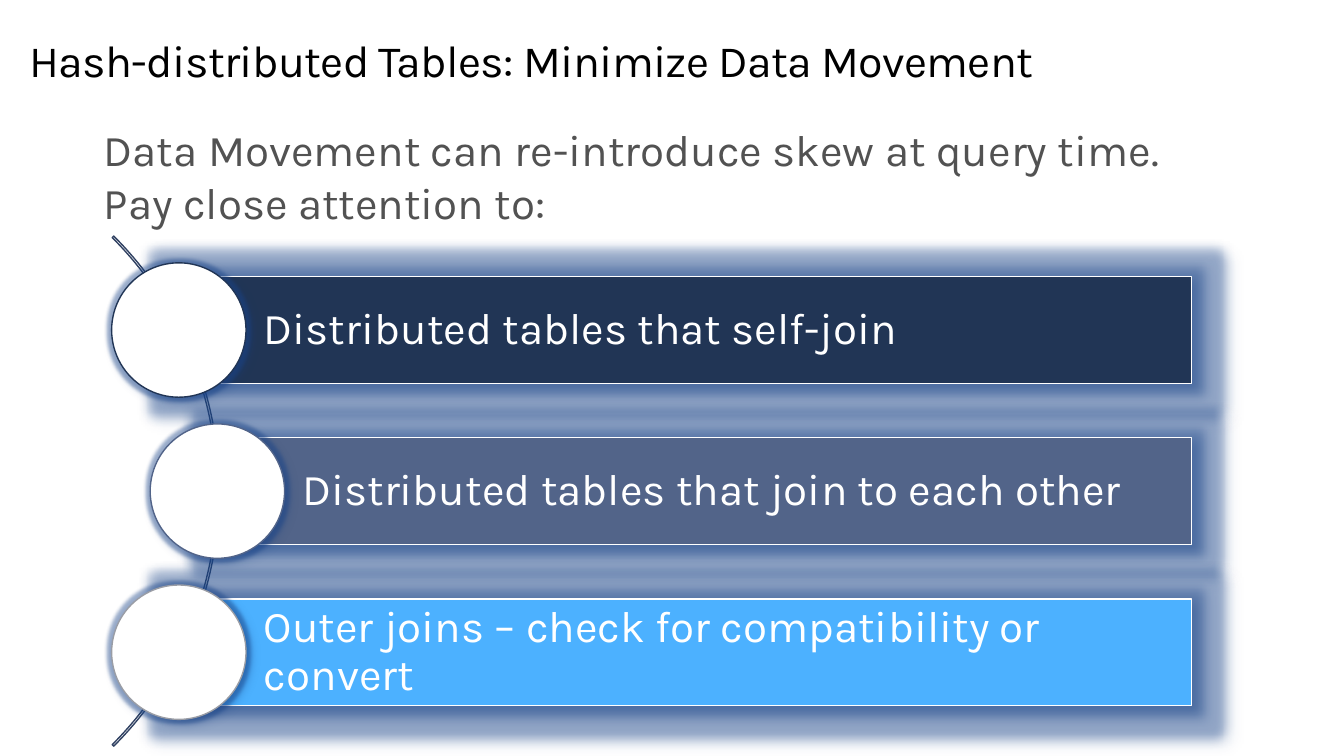
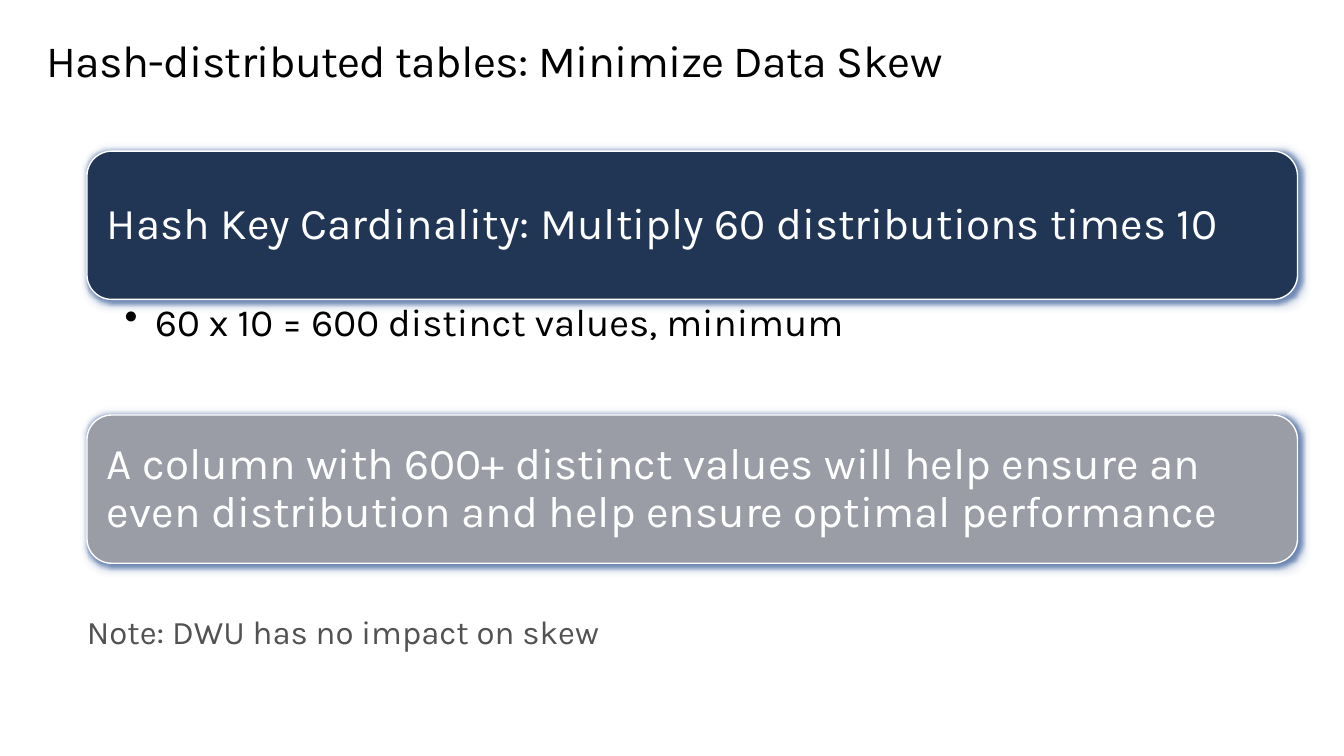
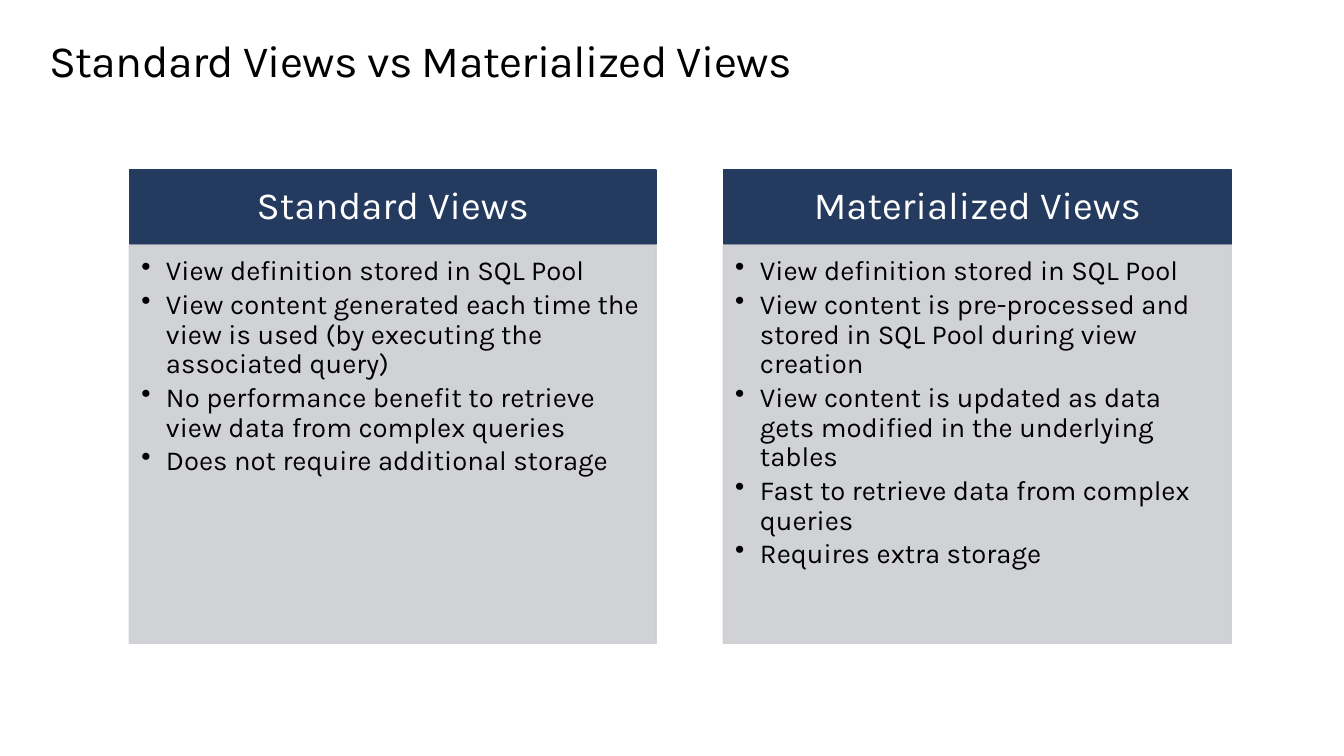
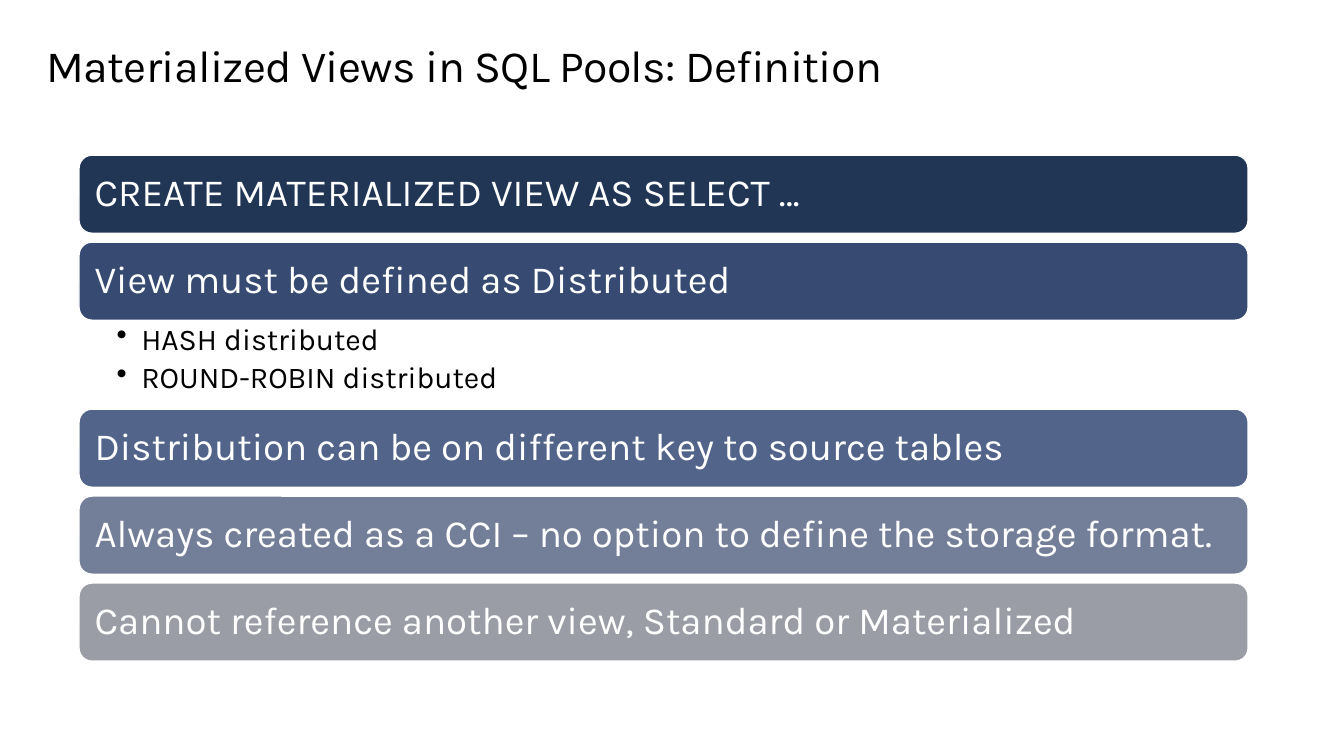
import pptx
import pptx.util
import pptx.dml.color
import pptx.enum.shapes
import pptx.enum.text
import pptx.oxml.ns
from dataclasses import dataclass
from lxml import etree

PX = 9144
SHAPE = pptx.enum.shapes.MSO_SHAPE
ALIGN = pptx.enum.text.PP_ALIGN
ANCHOR = pptx.enum.text.MSO_ANCHOR


@dataclass(frozen=True)
class Theme:
    font: str = "Karla"
    black: str = "000000"
    white: str = "FFFFFF"
    gray_text: str = "525252"
    navy: str = "213555"
    indigo: str = "374B72"
    slate: str = "526489"
    mist: str = "737F99"
    gray: str = "9A9DA5"
    sky: str = "4CB1FF"
    header: str = "243A5E"
    panel: str = "CDCED2"
    arc: str = "304162"
    glow: str = "1A4488"
    title_pt: float = 32.6
    title_line_pt: float = 36.9
    large_pt: int = 32
    medium_pt: int = 28
    note_pt: int = 24
    sub_pt: int = 22
    list_pt: int = 20


T = Theme()

JOIN_TITLE = "Hash-distributed Tables: Minimize Data Movement"
JOIN_INTRO = "Data Movement can re-introduce skew at query time. Pay close attention to:"
JOINS = [
    ("Distributed tables that self-join", T.navy, T.navy, 0),
    ("Distributed tables that join to each other", T.slate, T.slate, 39),
    ("Outer joins – check for compatibility or convert", T.sky, T.gray, 0),
]

SKEW_TITLE = "Hash-distributed tables: Minimize Data Skew"
SKEW_ROWS = [
    ("Hash Key Cardinality: Multiply 60 distributions times 10", T.navy,
     ["60 x 10 = 600 distinct values, minimum"]),
    ("A column with 600+ distinct values will help ensure an even distribution "
     "and help ensure optimal performance", T.gray, []),
]
SKEW_NOTE = "Note: DWU has no impact on skew"

VIEWS_TITLE = "Standard Views vs Materialized Views"
VIEWS = [
    ("Standard Views", 131, 533, [
        "View definition stored in SQL Pool",
        "View content generated each time the view is used (by executing the associated query)",
        "No performance benefit to retrieve view data from complex queries",
        "Does not require additional storage",
    ]),
    ("Materialized Views", 732, 514, [
        "View definition stored in SQL Pool",
        "View content is pre-processed and stored in SQL Pool during view creation",
        "View content is updated as data gets modified in the underlying tables",
        "Fast to retrieve data from complex queries",
        "Requires extra storage",
    ]),
]

DEFINITION_TITLE = "Materialized Views in SQL Pools: Definition"
DEFINITION_ROWS = [
    ("CREATE MATERIALIZED VIEW AS SELECT …", T.navy, []),
    ("View must be defined as Distributed", T.indigo,
     ["HASH distributed", "ROUND-ROBIN distributed"]),
    ("Distribution can be on different key to source tables", T.slate, []),
    ("Always created as a CCI – no option to define the storage format.", T.mist, []),
    ("Cannot reference another view, Standard or Materialized", T.gray, []),
]


def px(n):
    return pptx.util.Emu(round(n * PX))


def rgb(color):
    return pptx.dml.color.RGBColor.from_string(color)


def sub(parent, tag, **attrs):
    return etree.SubElement(parent, pptx.oxml.ns.qn(tag),
                            {k: str(v) for k, v in attrs.items()})


def put_text(sp, lines, size=T.large_pt, color=T.black, inset=(0, 0, 0, 0),
             anchor=ANCHOR.TOP, align=ALIGN.LEFT, line=0.9, after=0,
             bullet=0, spacing=None):
    tf = sp.text_frame
    tf.word_wrap = True
    tf.vertical_anchor = anchor
    tf.margin_left, tf.margin_top, tf.margin_right, tf.margin_bottom = map(px, inset)
    for i, words in enumerate(lines):
        p = tf.add_paragraph() if i else tf.paragraphs[0]
        p.alignment = align
        p.line_spacing = line
        p.space_before = pptx.util.Pt(0)
        p.space_after = pptx.util.Pt(after)
        if bullet:
            pPr = p._p.get_or_add_pPr()
            pPr.set("marL", str(px(bullet)))
            pPr.set("indent", str(-px(bullet)))
            sub(pPr, "a:buChar", char="•")
        r = p.add_run()
        r.text = words
        r.font.name = T.font
        r.font.size = pptx.util.Pt(size)
        r.font.color.rgb = rgb(color)
        if spacing:
            r._r.get_or_add_rPr().set("spc", str(spacing))


def add_text(s, x, y, w, h, lines, **fmt):
    put_text(s.shapes.add_textbox(px(x), px(y), px(w), px(h)), lines, **fmt)


def add_title(s, words, x, y=36):
    add_text(s, x, y, 1240, 51, [words], size=T.title_pt,
             line=pptx.util.Pt(T.title_line_pt), spacing=-50)


def add_shape(s, kind, x, y, w, h, fill, line, alpha=None, glow=0, shadow=0):
    sp = s.shapes.add_shape(kind, px(x), px(y), px(w), px(h))
    sp.shadow.inherit = False
    if fill:
        sp.fill.solid()
        sp.fill.fore_color.rgb = rgb(fill)
    else:
        sp.fill.background()
    sp.line.color.rgb = rgb(line)
    sp.line.width = pptx.util.Pt(1)
    spPr = sp._element.spPr
    if alpha:
        for clr in spPr.findall(".//" + pptx.oxml.ns.qn("a:srgbClr")):
            sub(clr, "a:alpha", val=alpha * 1000)
    effects = spPr.find(pptx.oxml.ns.qn("a:effectLst"))
    if glow:
        clr = sub(sub(effects, "a:glow", rad=px(glow)), "a:srgbClr", val=T.glow)
        sub(clr, "a:alpha", val=40000)
    if shadow:
        outer = sub(effects, "a:outerShdw", blurRad=px(2 * shadow), dist=px(shadow),
                    dir=2700000, algn="tl", rotWithShape=0)
        sub(sub(outer, "a:srgbClr", val=T.glow), "a:alpha", val=40000)
    return sp


def add_stack(s, rows, x, y, w, bar, gap, sub_h, size, sub_size, inset, indent, glow=0):
    for label, fill, points in rows:
        sp = add_shape(s, SHAPE.ROUNDED_RECTANGLE, x, y, w, bar, fill, T.white,
                       glow=glow, shadow=glow // 3)
        put_text(sp, [label], size=size, color=T.white, inset=(inset,) * 4,
                 anchor=ANCHOR.MIDDLE)
        y += bar
        if points:
            add_text(s, x, y, w, sub_h, points, size=sub_size, inset=(38, 4, 22, 4),
                     after=sub_size * 0.2, bullet=indent)
        y += sub_h if points else gap


def movement_slide(s):
    add_text(s, 105, 124, 1108, 117, [JOIN_INTRO], color=T.gray_text, line=1.0)
    add_title(s, JOIN_TITLE, 30)
    arc = add_shape(s, SHAPE.BLOCK_ARC, -508, 132, 730, 730, None, T.arc)
    for i, value in enumerate((189, 27, 0.003)):
        arc.adjustments[i] = value
    right, bar, dot, pitch = 1206, 108, 136, 163
    for i, (label, fill, ring, shift) in enumerate(JOINS):
        y = 280 + i * pitch
        x = 181 + shift
        sp = add_shape(s, SHAPE.RECTANGLE, x, y, right - x, bar, fill, T.white,
                       glow=22, shadow=5)
        put_text(sp, [label], color=T.white, inset=(86, 9, 9, 9), anchor=ANCHOR.MIDDLE)
        add_shape(s, SHAPE.OVAL, x - dot / 2, y + (bar - dot) / 2, dot, dot,
                  T.white, ring, glow=7, shadow=4)


def skew_slide(s):
    add_title(s, SKEW_TITLE, 47)
    add_stack(s, SKEW_ROWS, 88, 153, 1225, bar=150, gap=0, sub_h=117,
              size=T.large_pt, sub_size=T.medium_pt, inset=13, indent=31, glow=7)
    add_text(s, 88, 619, 1250, 74, [SKEW_NOTE], size=T.note_pt,
             color=T.gray_text, line=1.0)


def views_slide(s):
    add_title(s, VIEWS_TITLE, 50)
    top, head = 172, 75
    for label, x, w, points in VIEWS:
        sp = add_shape(s, SHAPE.RECTANGLE, x, top, w, head, T.header, T.header)
        put_text(sp, [label], size=T.medium_pt, color=T.white, inset=(22, 12, 22, 12),
                 anchor=ANCHOR.MIDDLE, align=ALIGN.CENTER)
        sp = add_shape(s, SHAPE.RECTANGLE, x, top + head + 1, w, 403, T.panel, T.panel,
                       alpha=90)
        put_text(sp, points, size=T.list_pt, inset=(12, 12, 16, 17),
                 after=T.list_pt * 0.15, bullet=25)


def definition_slide(s):
    add_title(s, DEFINITION_TITLE, 47, 41)
    add_stack(s, DEFINITION_ROWS, 80, 157, 1183, bar=79, gap=9, sub_h=90,
              size=T.medium_pt, sub_size=T.sub_pt, inset=12, indent=25)


def main():
    prs = pptx.Presentation()
    prs.slide_width, prs.slide_height = px(1360), px(765)
    for build in (movement_slide, skew_slide, views_slide, definition_slide):
        build(prs.slides.add_slide(prs.slide_layouts[6]))
    prs.save("out.pptx")


if __name__ == "__main__":
    main()
